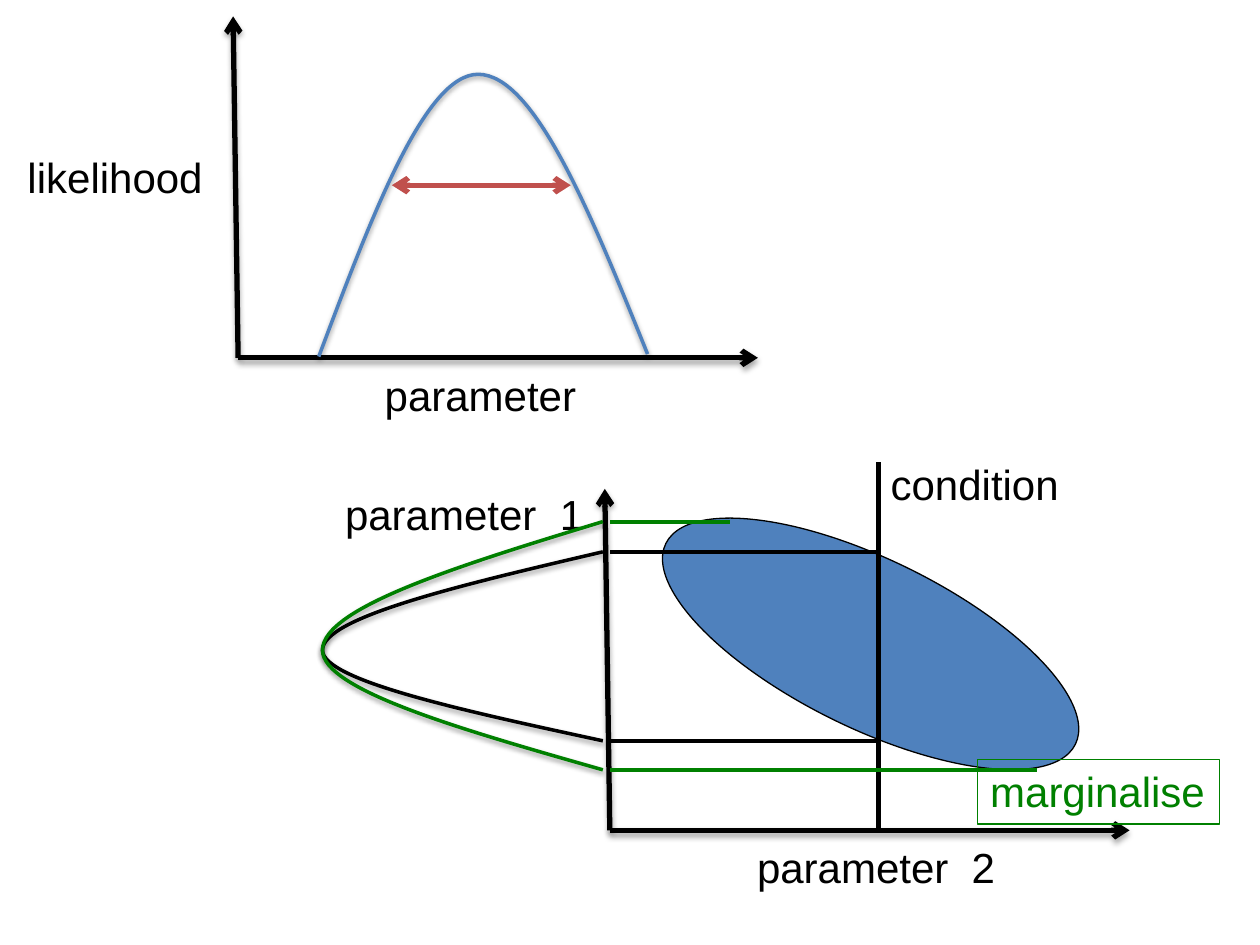
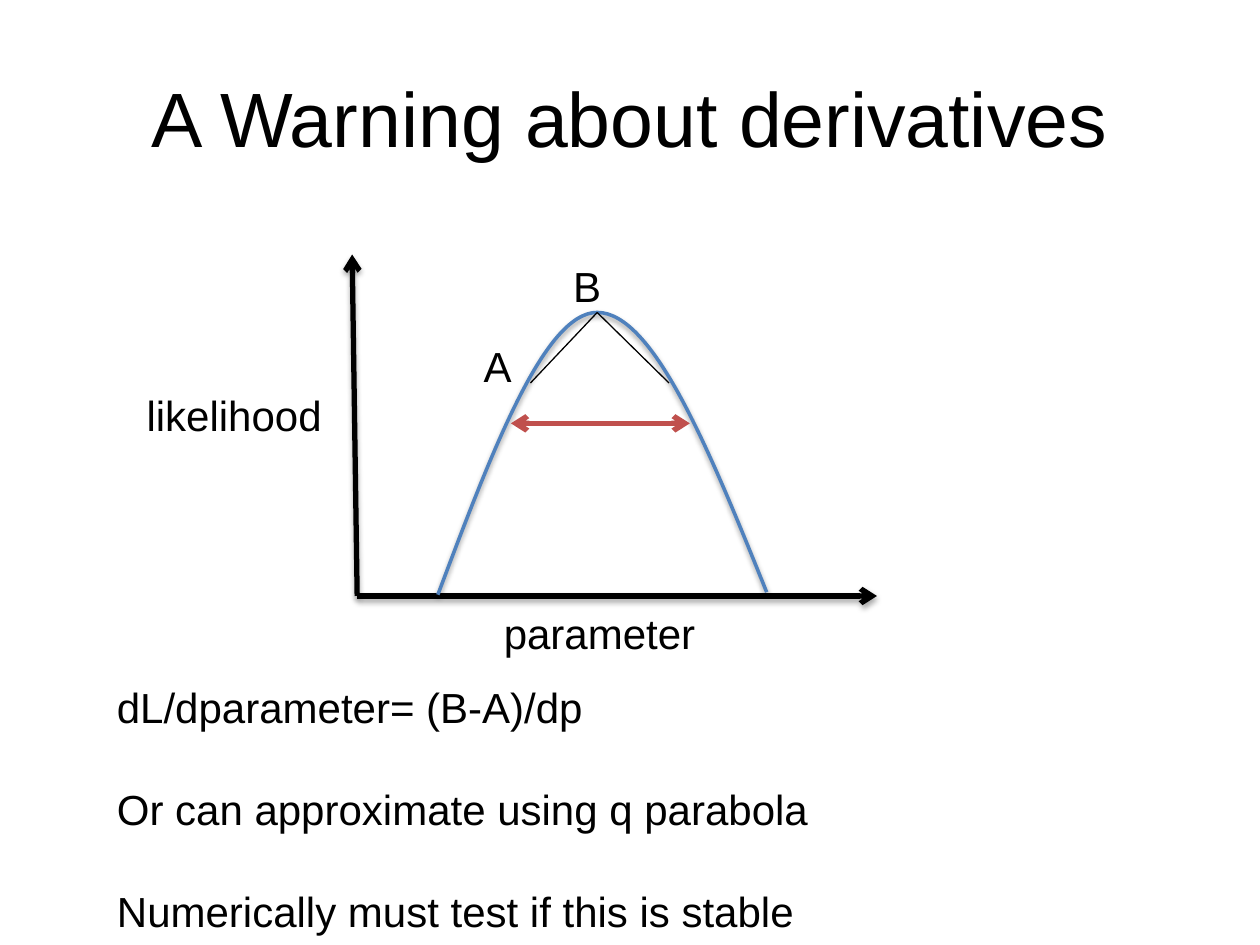
from dataclasses import dataclass
from typing import NamedTuple, Optional

from lxml.etree import SubElement
from pptx import Presentation
from pptx.dml.color import RGBColor
from pptx.enum.shapes import MSO_CONNECTOR as Connector, MSO_SHAPE as Shape
from pptx.enum.text import MSO_ANCHOR as Anchor, MSO_AUTO_SIZE as AutoSize, PP_ALIGN as Align
from pptx.oxml.ns import qn
from pptx.util import Inches, Pt

# The grid has square cells: 100 columns by 75 rows.
COLUMNS, ROWS = 100, 75
CELL = Inches(0.1)

FONT = "Arial"
BODY_SIZE, TITLE_SIZE = 24, 44
BLACK, BLUE, RED, GREEN = "000000", "4F81BD", "C0504D", "008000"
THIN, CURVE, MEDIUM, THICK = 0.75, 2, 2.25, 3


class Point(NamedTuple):
    column: float
    row: float

    def shift(self, columns: float, rows: float) -> "Point":
        return Point(self.column + columns, self.row + rows)

    def toward(self, target: "Point", column_share: float, row_share: float) -> "Point":
        return self.shift((target.column - self.column) * column_share,
                          (target.row - self.row) * row_share)


class Box(NamedTuple):
    column: float
    row: float
    width: float
    height: float = 5.1


class Shadow(NamedTuple):
    opacity: int
    blur: float
    distance: float


AXIS_SHADOW = Shadow(35, 3.1, 1.8)
CURVE_SHADOW = Shadow(38, 3.1, 1.6)


@dataclass(frozen=True)
class Stroke:
    color: str = BLACK
    width: float = THICK
    ends: tuple[str, ...] = ()
    shadow: Optional[Shadow] = None


@dataclass(frozen=True)
class Label:
    text: str
    box: Box
    color: str = BLACK
    wrap: bool = False
    border: bool = False
    space_before: float = 0
    size: int = BODY_SIZE
    align: Align = Align.LEFT
    anchor: Anchor = Anchor.TOP
    grow: AutoSize = AutoSize.SHAPE_TO_FIT_TEXT


@dataclass(frozen=True)
class Projection:
    """An interval carried from the ellipse to the axis of parameter 1."""
    color: str
    upper: Point
    lower: Point


AXIS = Stroke(ends=("tailEnd",), shadow=AXIS_SHADOW)
WIDTH_ARROW = Stroke(RED, ends=("headEnd", "tailEnd"))

LOWER_ORIGIN = Point(48.4, 65.9)
CONDITION_COLUMN = 69.7
PROFILE_APEX = Point(25.6, 51.6)
CONDITIONED = Projection(BLACK, Point(CONDITION_COLUMN, 43.8), Point(CONDITION_COLUMN, 58.8))
MARGINALISED = Projection(GREEN, Point(57.9, 41.4), Point(82.3, 61.1))


def cells(*counts: float) -> list[int]:
    return [round(count * CELL) for count in counts]


def rgb(color: str) -> RGBColor:
    return RGBColor.from_string(color)


def apply_stroke(shape, stroke: Stroke) -> None:
    """Set line, arrowheads and shadow; the order follows the drawing schema."""
    shape.line.color.rgb = rgb(stroke.color)
    shape.line.width = Pt(stroke.width)
    properties = shape._element.spPr
    outline = properties.find(qn("a:ln"))
    for end in stroke.ends:
        SubElement(outline, qn(f"a:{end}"), type="arrow")
    effects = SubElement(properties, qn("a:effectLst"))
    if stroke.shadow:
        outer = SubElement(effects, qn("a:outerShdw"), blurRad=str(Pt(stroke.shadow.blur)),
                           dist=str(Pt(stroke.shadow.distance)), dir="5400000", rotWithShape="0")
        color = SubElement(outer, qn("a:srgbClr"), val=BLACK)
        SubElement(color, qn("a:alpha"), val=str(stroke.shadow.opacity * 1000))


def add_line(slide, start: Point, end: Point, stroke: Stroke) -> None:
    line = slide.shapes.add_connector(Connector.STRAIGHT, *cells(*start, *end))
    apply_stroke(line, stroke)


def add_label(slide, label: Label) -> None:
    shape = slide.shapes.add_textbox(*cells(*label.box))
    frame = shape.text_frame
    frame.text = label.text
    frame_format = {"word_wrap": label.wrap, "auto_size": label.grow,
                    "vertical_anchor": label.anchor}
    for name, value in frame_format.items():
        setattr(frame, name, value)
    for index, paragraph in enumerate(frame.paragraphs):
        paragraph.alignment = label.align
        paragraph.space_before = Pt(label.space_before if index else 0)
        for run in paragraph.runs:
            for name, value in {"name": FONT, "size": Pt(label.size)}.items():
                setattr(run.font, name, value)
            run.font.color.rgb = rgb(label.color)
    if label.border:
        apply_stroke(shape, Stroke(label.color, THIN))


def add_bell(slide, first: Point, apex: Point, last: Point, color: str,
             sideways: bool = False) -> None:
    """Draw two cubic curves that meet at the apex."""
    across, rise = (1 / 3, 2 / 3, 1), (1 / 2, 1, 1)
    shares = list(zip(rise, across) if sideways else zip(across, rise))
    climb = [first.toward(apex, *share) for share in shares]
    descent = [last.toward(apex, *share) for share in reversed(shares[:-1])] + [last]

    builder = slide.shapes.build_freeform(*cells(*first))
    builder.add_line_segments([cells(*point) for point in climb + descent], close=False)
    shape = builder.convert_to_shape()
    segments = list(shape._element.iter(qn("a:lnTo")))
    for start in range(0, len(segments), 3):
        curve = SubElement(segments[0].getparent(), qn("a:cubicBezTo"))
        for segment in segments[start:start + 3]:
            curve.append(segment[0])
    for segment in segments:
        segment.getparent().remove(segment)
    shape.fill.background()
    apply_stroke(shape, Stroke(color, CURVE, shadow=CURVE_SHADOW))


def add_axes(slide, origin: Point) -> None:
    for tip in (origin.shift(-0.4, -27.1), origin.shift(41.25, 0)):
        add_line(slide, origin, tip, AXIS)


def add_likelihood_plot(slide, origin: Point) -> None:
    add_axes(slide, origin)
    add_bell(slide, origin.shift(6.4, -0.1), origin.shift(19.05, -22.5),
             origin.shift(32.5, -0.3), BLUE)
    add_label(slide, Label("likelihood", Box(*origin.shift(-17.7, -16.9), 16)))
    add_label(slide, Label("parameter", Box(*origin.shift(10.65, 0.4), 17.4)))
    add_line(slide, origin.shift(12.2, -13.7), origin.shift(26.4, -13.7), WIDTH_ARROW)


def add_projection(slide, projection: Projection) -> None:
    feet = []
    for edge in (projection.lower, projection.upper):
        on_axis = Point(LOWER_ORIGIN.column, edge.row)
        add_line(slide, edge, on_axis, Stroke(projection.color, MEDIUM))
        feet.append(on_axis.shift(-0.55, 0))
    add_bell(slide, feet[0], PROFILE_APEX, feet[1], projection.color, sideways=True)


def add_ellipse(slide) -> None:
    ellipse = slide.shapes.add_shape(Shape.OVAL, *cells(51, 44.4, 36.2, 13.4))
    ellipse.rotation = 26.1
    ellipse.fill.solid()
    ellipse.fill.fore_color.rgb = rgb(BLUE)
    apply_stroke(ellipse, Stroke(width=THIN))


def build_parameters_slide(slide) -> None:
    add_likelihood_plot(slide, Point(18.9, 28.4))
    add_axes(slide, LOWER_ORIGIN)
    add_label(slide, Label("parameter  2", Box(59.1, 66.3, 21.1)))
    add_label(slide, Label("parameter  1", Box(26.4, 38.3, 21.1)))
    add_ellipse(slide)
    add_line(slide, Point(CONDITION_COLUMN, LOWER_ORIGIN.row),
             Point(CONDITION_COLUMN, 36.7), Stroke())
    add_label(slide, Label("condition", Box(CONDITION_COLUMN, 35.9, 15.5)))
    for projection in (CONDITIONED, MARGINALISED):
        add_projection(slide, projection)
    add_label(slide, Label("marginalise", Box(77.6, 60.3, 19.2), GREEN, border=True))


def build_derivatives_slide(slide) -> None:
    add_label(slide, Label("A Warning about derivatives", Box(5, 3, 90, 12.5), wrap=True,
                           size=TITLE_SIZE, align=Align.CENTER, anchor=Anchor.MIDDLE,
                           grow=AutoSize.NONE))
    add_likelihood_plot(slide, Point(28.35, 47.3))
    peak = Point(47.4, 24.8)
    for columns in (-5.3, 5.7):
        add_line(slide, peak, peak.shift(columns, 5.6), Stroke(width=THIN))
    notes = ("dL/dparameter= (B-A)/dp",
             "Or can approximate using q parabola",
             "Numerically must test if this is stable")
    add_label(slide, Label("\n".join(notes), Box(8.3, 53.6, 57.4, 21.2), space_before=29.5))
    add_label(slide, Label("A", Box(37.4, 26.5, 4.7), wrap=True))
    add_label(slide, Label("B", Box(44.5, 20.2, 4.7), wrap=True))


def main() -> None:
    presentation = Presentation()
    presentation.slide_width, presentation.slide_height = cells(COLUMNS, ROWS)
    blank = presentation.slide_layouts[6]
    for build in (build_parameters_slide, build_derivatives_slide):
        build(presentation.slides.add_slide(blank))
    presentation.save("out.pptx")


if __name__ == "__main__":
    main()
